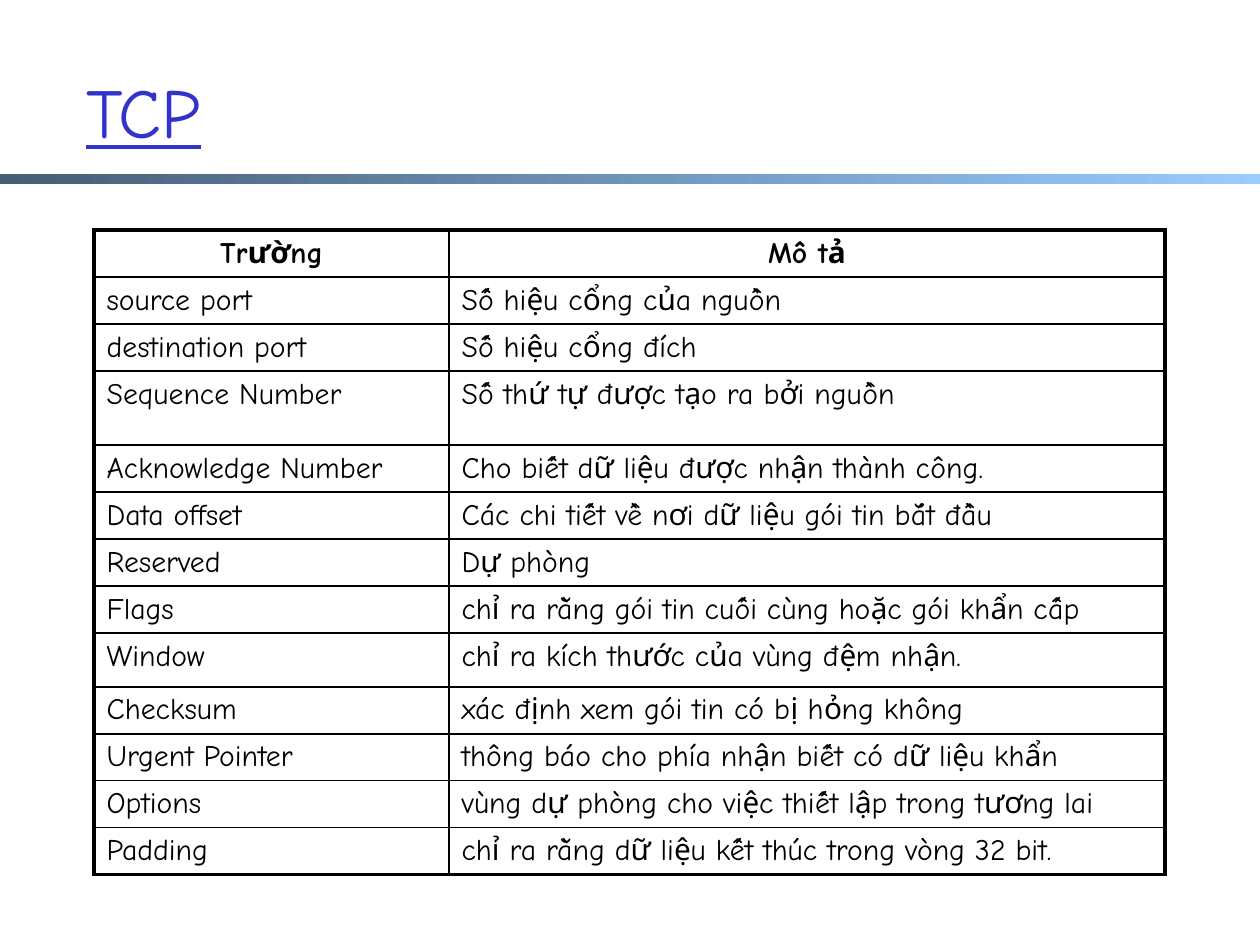
"""Build the slide that lists the TCP header fields."""
from dataclasses import dataclass

import lxml.etree
import pptx
import pptx.dml.color
import pptx.enum.shapes
import pptx.enum.text
import pptx.oxml.ns
import pptx.util

FONT = "Comic Neue"
ALIGN = pptx.enum.text.PP_ALIGN
THIN, THICK = 1, 2.25


@dataclass
class Row:
    field: str
    note: str
    high: int = 47


ROWS = [
    Row("Trường", "Mô tả"),
    Row("source port", "Số hiệu cổng của nguồn"),
    Row("destination port", "Số hiệu cổng đích"),
    Row("Sequence Number", "Số thứ tự được tạo ra bởi nguồn", 74),
    Row("Acknowledge Number", "Cho biết dữ liệu được nhận thành công."),
    Row("Data offset", "Các chi tiết về nơi dữ liệu gói tin bắt đầu"),
    Row("Reserved", "Dự phòng"),
    Row("Flags", "chỉ ra rằng gói tin cuối cùng hoặc gói khẩn cấp"),
    Row("Window", "chỉ ra kích thước của vùng đệm nhận.", 54),
    Row("Checksum", "xác định xem gói tin có bị hỏng không"),
    Row("Urgent Pointer", "thông báo cho phía nhận biết có dữ liệu khẩn"),
    Row("Options", "vùng dự phòng cho việc thiết lập trong tương lai"),
    Row("Padding", "chỉ ra rằng dữ liệu kết thúc trong vòng 32 bit."),
]
COLS = [355, 716]


def px(n: int) -> int:
    """Turn pixels into EMU."""
    return round(n * 914400 / 126)


def tint(color, code: str) -> None:
    """Set a colour from a hex string."""
    color.rgb = pptx.dml.color.RGBColor.from_string(code)


def style(par, size: int, code: str, bold: bool = False, under: bool = False) -> None:
    """Format the runs of a paragraph."""
    for run in par.runs:
        font = run.font
        font.name, font.size = FONT, pptx.util.Pt(size)
        font.bold, font.underline = bold, under
        tint(font.color, code)


def edge(cell, sides: dict[str, float]) -> None:
    """Draw the borders of a cell."""
    props = cell._tc.get_or_add_tcPr()
    qn = pptx.oxml.ns.qn
    for i, (side, wide) in enumerate(sides.items()):
        line = lxml.etree.Element(qn(f"a:ln{side}"), w=str(pptx.util.Pt(wide)))
        fill = lxml.etree.SubElement(line, qn("a:solidFill"))
        lxml.etree.SubElement(fill, qn("a:srgbClr"), val="000000")
        props.insert(i, line)


def bar(slide) -> None:
    """Draw the gradient bar below the title."""
    shape = slide.shapes.add_shape(
        pptx.enum.shapes.MSO_SHAPE.RECTANGLE, 0, px(174), px(1260), px(10))
    shape.shadow.inherit = False
    shape.line.fill.background()
    shape.fill.gradient()
    shape.fill.gradient_angle = 0
    for stop, code in zip(shape.fill.gradient_stops, ("465E75", "99CCFF")):
        tint(stop.color, code)


def title(slide) -> None:
    """Write the title."""
    box = slide.shapes.add_textbox(px(74), px(32), px(1071), px(157))
    frame = box.text_frame
    frame.word_wrap = True
    frame.vertical_anchor = pptx.enum.text.MSO_ANCHOR.MIDDLE
    frame.text = "TCP"
    style(frame.paragraphs[0], 40, "3333CC", under=True)


def grid(slide) -> None:
    """Build the table of fields."""
    table = slide.shapes.add_table(
        len(ROWS), len(COLS), px(94), px(230), px(sum(COLS)),
        px(sum(row.high for row in ROWS))).table
    table.first_row = table.horz_banding = False
    for col, wide in zip(table.columns, COLS):
        col.width = px(wide)
    for r, row in enumerate(ROWS):
        table.rows[r].height = px(row.high)
        head, last = r == 0, r == len(ROWS) - 1
        for c, text in enumerate((row.field, row.note)):
            cell = table.cell(r, c)
            cell.margin_bottom = px(4)
            cell.fill.background()
            edge(cell, {"L": THIN if c else THICK, "R": THICK if c else THIN,
                        "T": THICK if head else THIN, "B": THICK if last else THIN})
            cell.text_frame.text = text
            par = cell.text_frame.paragraphs[0]
            par.alignment = ALIGN.CENTER if head else ALIGN.JUSTIFY if c else ALIGN.LEFT
            props = par._p.get_or_add_pPr()
            props.set("marL", str(px(48)))
            props.set("indent", str(px(-48)))
            style(par, 17, "000000", bold=head)


def main() -> None:
    """Build and save the deck."""
    deck = pptx.Presentation()
    deck.slide_width, deck.slide_height = px(1260), px(945)
    slide = deck.slides.add_slide(deck.slide_layouts[6])
    bar(slide)
    title(slide)
    grid(slide)
    deck.save("out.pptx")


main()
